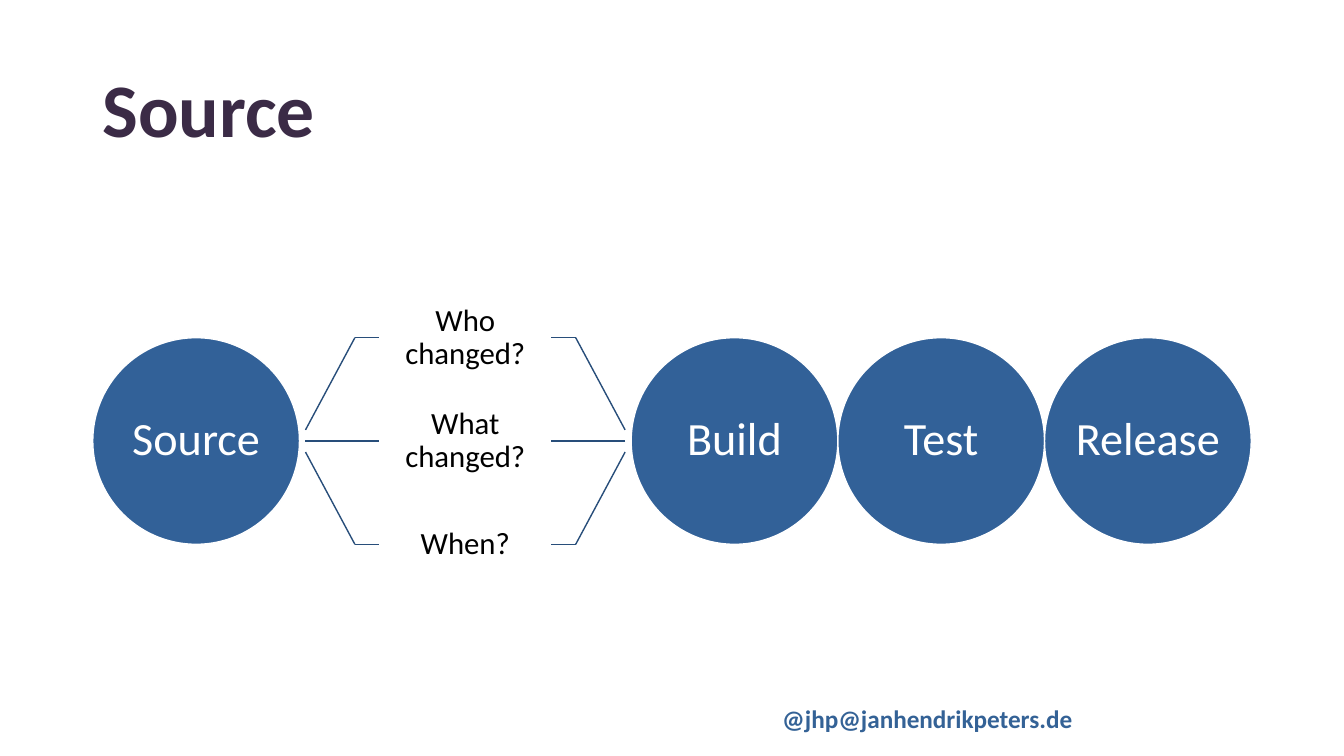
import pptx
import pptx.dml.color
import pptx.enum.shapes
import pptx.enum.text
import pptx.oxml.ns
import pptx.util
from dataclasses import dataclass
from lxml import etree

Inches = pptx.util.Inches
Pt = pptx.util.Pt


@dataclass(frozen=True)
class Theme:
    font: str = "Calibri"
    title: str = "3B2B46"
    handle: str = "346296"
    stage: str = "326198"
    branch: str = "284E7A"
    label: str = "000000"
    white: str = "FFFFFF"
    title_size: int = 54
    stage_size: int = 33
    label_size: int = 22
    handle_size: int = 18
    line_width: int = 1


THEME = Theme()


def rgb(value):
    return pptx.dml.color.RGBColor.from_string(value)


def write(shape, text, size, color, bold=False, centered=True,
          inset=None, spacing=0.9, middle=True, wrap=True):
    frame = shape.text_frame
    frame.word_wrap = wrap
    if middle:
        frame.vertical_anchor = pptx.enum.text.MSO_ANCHOR.MIDDLE
    if inset is not None:
        for side in ("left", "top", "right", "bottom"):
            setattr(frame, f"margin_{side}", Inches(inset))
    paragraph = frame.paragraphs[0]
    align = pptx.enum.text.PP_ALIGN
    paragraph.alignment = align.CENTER if centered else align.LEFT
    paragraph.line_spacing = spacing
    run = paragraph.add_run()
    run.text = text
    formats = {"name": THEME.font, "size": Pt(size), "bold": bold}
    for name, value in formats.items():
        setattr(run.font, name, value)
    run.font.color.rgb = rgb(color)


def add_text(slide, box, *args, **options):
    write(slide.shapes.add_textbox(*map(Inches, box)), *args, **options)


def add_branch_line(slide, start, end):
    line = slide.shapes.add_connector(
        pptx.enum.shapes.MSO_CONNECTOR.STRAIGHT,
        *map(Inches, (*start, *end)))
    line.line.color.rgb = rgb(THEME.branch)
    line.line.width = Pt(THEME.line_width)
    etree.SubElement(line._element.spPr, pptx.oxml.ns.qn("a:effectLst"))


def add_stage(slide, box, name):
    circle = slide.shapes.add_shape(
        pptx.enum.shapes.MSO_SHAPE.OVAL, *map(Inches, box))
    circle.shadow.inherit = False
    circle.fill.solid()
    circle.fill.fore_color.rgb = rgb(THEME.stage)
    circle.line.color.rgb = rgb(THEME.white)
    circle.line.width = Pt(THEME.line_width)
    write(circle, name, THEME.stage_size, THEME.white, inset=0, wrap=False)


def add_questions(slide, box, questions):
    """Fan the questions out between the stages at the box's two sides."""
    left, top, width, height = box
    row = height / len(questions)
    bend, stub, hub_step = 0.49, 0.24, 0.11
    middle = (len(questions) - 1) / 2
    for index, question in enumerate(questions):
        y = top + row * (index + 0.5)
        hub_y = top + height / 2 + hub_step * (index - middle)
        # Mirrored branches on both sides
        for edge, inward in ((left, 1), (left + width, -1)):
            corner = (edge + inward * bend, y)
            add_branch_line(slide, (edge, hub_y), corner)
            add_branch_line(slide, corner, (corner[0] + inward * stub, y))
        # Question
        indent = bend + stub
        add_text(slide, (left + indent, y - row / 2, width - 2 * indent, row),
                 question, THEME.label_size, THEME.label, inset=0.17)


def add_pipeline(slide, box, stages, questions):
    left, top, width, diameter = box
    first, *later = stages
    # Source stage
    add_stage(slide, (left, top, diameter, diameter), first)
    # Later stages, touching and flush right
    later_left = left + width - diameter * len(later)
    for index, name in enumerate(later):
        add_stage(slide, (later_left + index * diameter, top,
                          diameter, diameter), name)
    # Questions in the gap; outer rows are centred on the circles' edges
    gap = 0.06
    fan_left = left + diameter + gap
    row = diameter / (len(questions) - 1)
    add_questions(slide, (fan_left, top - row / 2, later_left - gap - fan_left,
                          row * len(questions)), questions)


def add_title(slide, box, title):
    add_text(slide, box, title, THEME.title_size, THEME.title,
             bold=True, centered=False)


def add_handle(slide, box, handle):
    add_text(slide, box, handle, THEME.handle_size, THEME.handle,
             bold=True, centered=False, spacing=1.0, middle=False)


def main():
    deck = pptx.Presentation()
    deck.slide_width, deck.slide_height = Inches(13.33), Inches(7.5)
    slide = deck.slides.add_slide(deck.slide_layouts[6])
    add_title(slide, (0.92, 0.4, 10.64, 1.45), "Source")
    add_pipeline(slide, (0.92, 3.35, 11.49, 2.05),
                 ["Source", "Build", "Test", "Release"],
                 ["Who changed?", "What changed?", "When?"])
    add_handle(slide, (7.66, 6.93, 3.14, 0.4), "@jhp@janhendrikpeters.de")
    deck.save("out.pptx")


if __name__ == "__main__":
    main()
